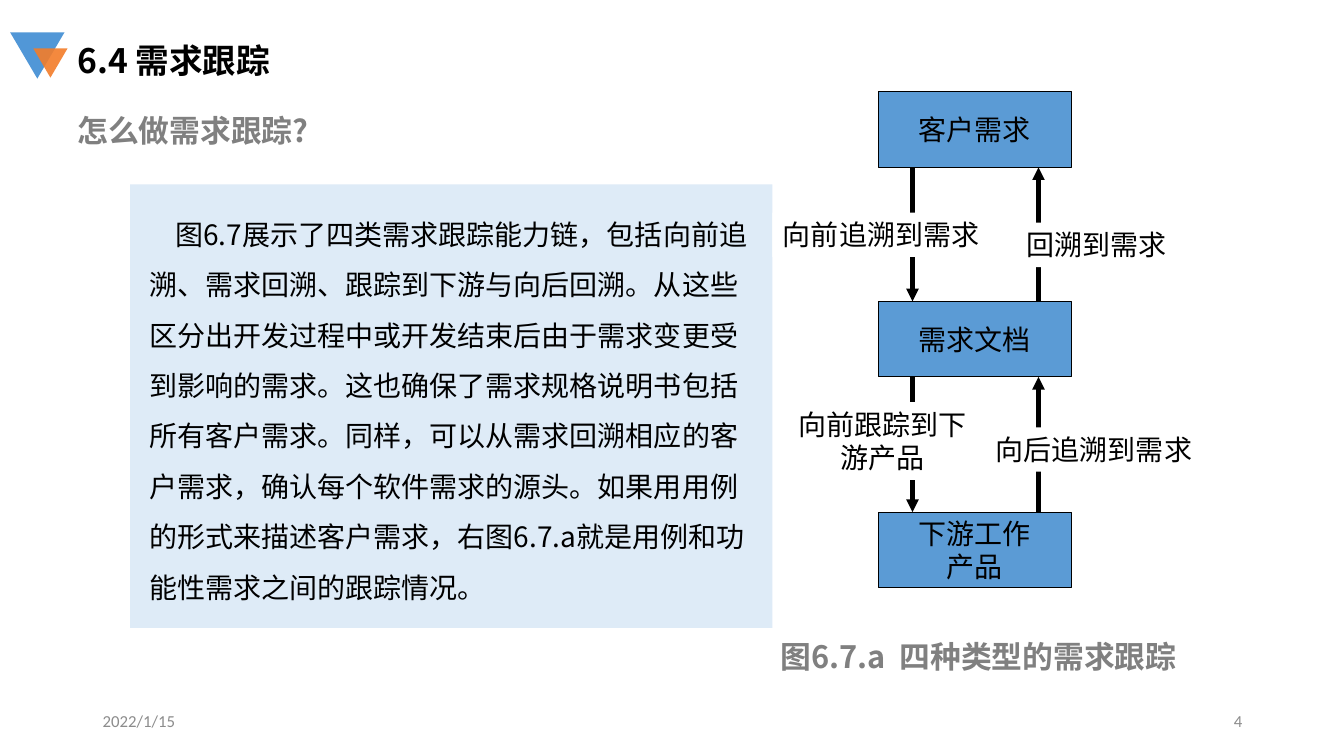
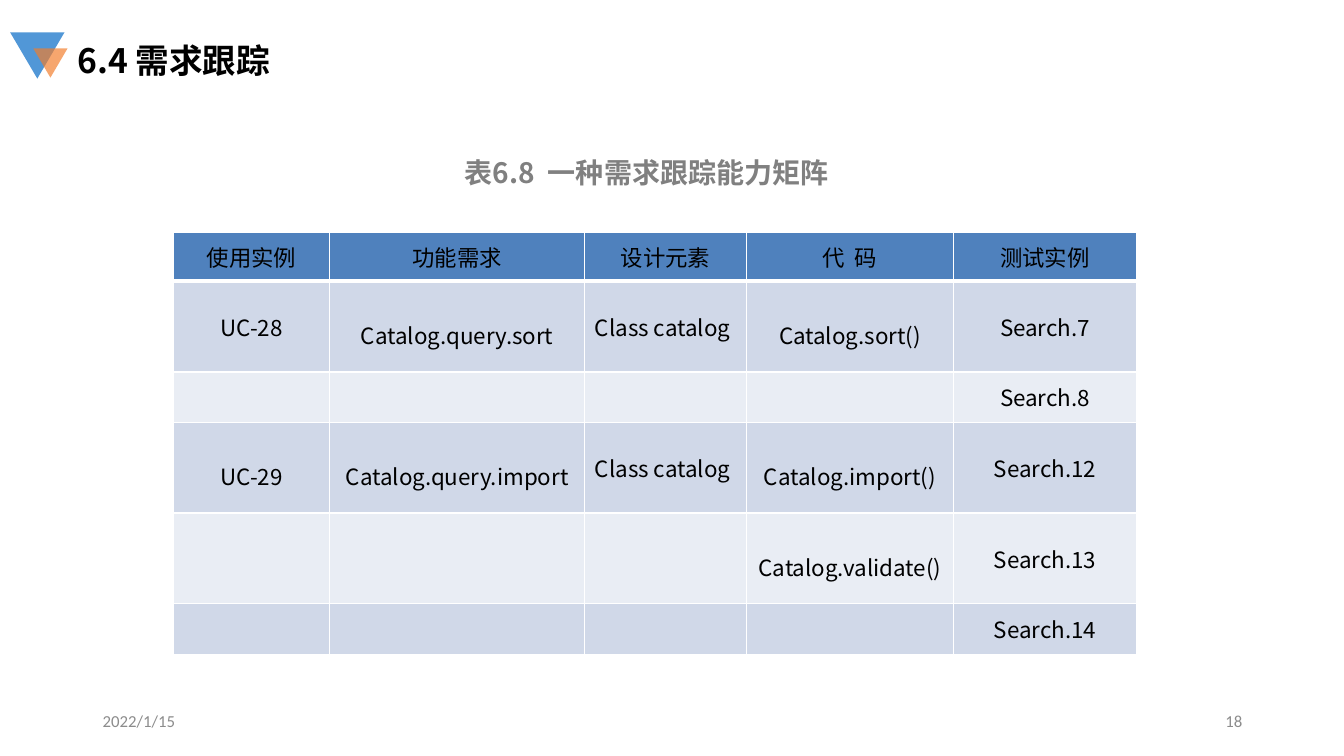
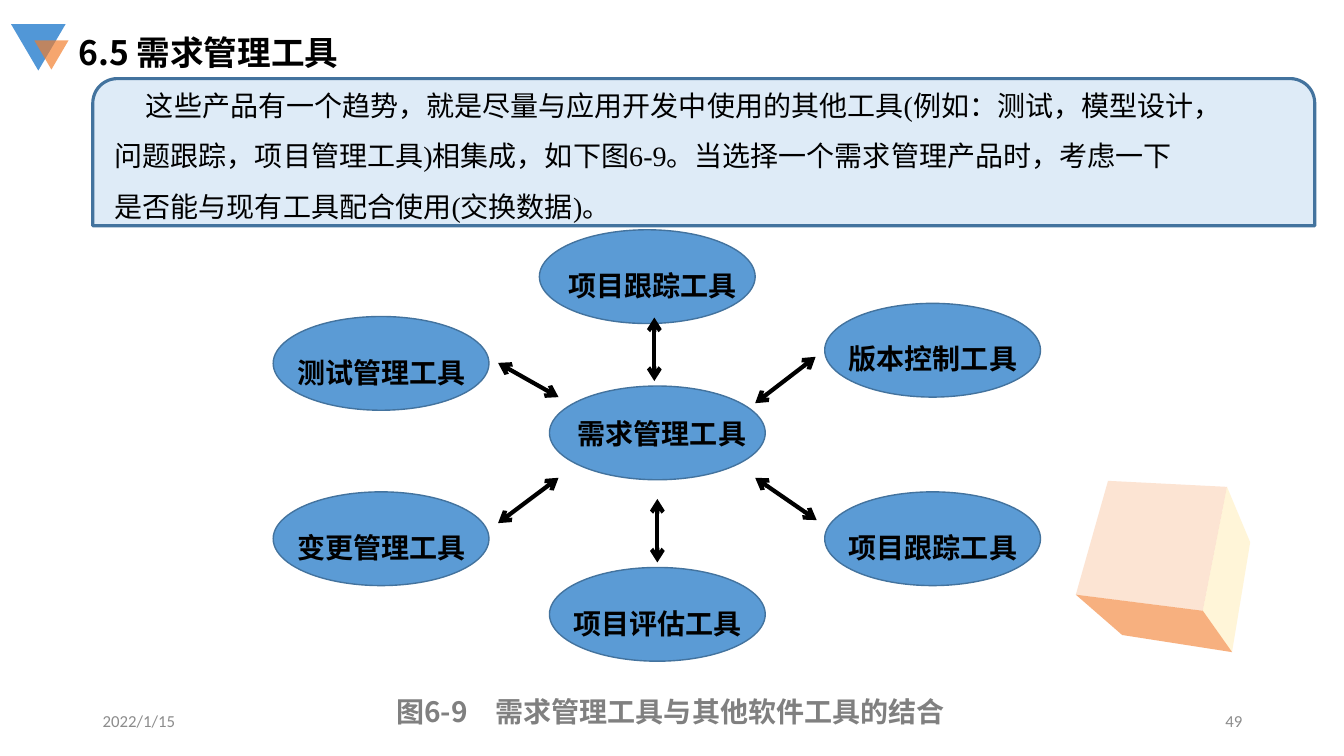
from pptx import Presentation
from pptx.dml.color import RGBColor
from pptx.enum.shapes import MSO_CONNECTOR, MSO_SHAPE
from pptx.enum.text import MSO_ANCHOR, PP_ALIGN
from pptx.oxml.ns import qn
from pptx.oxml.xmlchemy import OxmlElement
from pptx.util import Pt

PX = 9144  # 100 px to the inch
RECT, OVAL = MSO_SHAPE.RECTANGLE, MSO_SHAPE.OVAL
WEDGE, PANEL = MSO_SHAPE.ISOSCELES_TRIANGLE, MSO_SHAPE.ROUND_2_SAME_RECTANGLE
LINE = MSO_CONNECTOR.STRAIGHT
TOP, MID = MSO_ANCHOR.TOP, MSO_ANCHOR.MIDDLE
LEFT, MIDST, RIGHT = PP_ALIGN.LEFT, PP_ALIGN.CENTER, PP_ALIGN.RIGHT
SANS, SERIF, PLAIN = "Noto Sans CJK SC", "Times New Roman", "Calibri"
INK = {
    "black": "000000", "white": "FFFFFF", "grey": "808080", "foot": "8C8C8C",
    "blue": "5B9BD5", "edge": "43739E", "pale": "DEEBF7",
    "mark": "5197D7", "spark": "F37D2A",
    "front": "F7A76E", "side": "FFECB3", "base": "F58F49",
    "head": "4F81BD", "odd": "D0D8E8", "even": "E9EDF4",
}


# Shared helpers
def rgb(name):
    return RGBColor.from_string(INK[name])


def add(parent, tag, **attrs):
    node = OxmlElement(tag)
    for key, val in attrs.items():
        node.set(key, str(val))
    parent.append(node)
    return node


def style(frame, size, color="black", bold=False, font=SANS, align=LEFT,
          gap=None, indent=0):
    for para in frame.paragraphs:
        para.alignment = align
        if gap:
            para.line_spacing = gap
        if indent:
            para._p.get_or_add_pPr().set("indent", str(indent * PX))
        for run in para.runs:
            run.font.size = Pt(size)
            run.font.bold = bold
            run.font.name = font
            run.font.color.rgb = rgb(color)
            add(run._r.get_or_add_rPr(), "a:ea", typeface=SANS)


def write(frame, text, anchor=TOP, wrap=True, **look):
    frame.text = text
    frame.word_wrap = wrap
    frame.vertical_anchor = anchor
    style(frame, **look)


def label(slide, box, text, **look):
    area = slide.shapes.add_textbox(*(v * PX for v in box))
    write(area.text_frame, text, **look)


def paint(shape, fill, alpha=100, edge=None, width=1):
    shape.shadow.inherit = False
    shape.fill.solid()
    shape.fill.fore_color.rgb = rgb(fill)
    if alpha < 100:
        tint = shape._element.spPr.find(qn("a:solidFill"))[0]
        add(tint, "a:alpha", val=alpha * 1000)
    if edge:
        shape.line.color.rgb = rgb(edge)
        shape.line.width = Pt(width)
    else:
        shape.line.fill.background()


def block(slide, kind, box, fill, **look):
    shape = slide.shapes.add_shape(kind, *(v * PX for v in box))
    paint(shape, fill, **look)
    return shape


def arrow(slide, x1, y1, x2, y2, tip, both=False):
    line = slide.shapes.add_connector(LINE, *(v * PX for v in (x1, y1, x2, y2)))
    line.line.color.rgb = rgb("black")
    line.line.width = Pt(3)
    props = line._element.spPr
    stroke = props.find(qn("a:ln"))
    if both:
        add(stroke, "a:headEnd", type=tip)
    add(stroke, "a:tailEnd", type=tip)
    add(props, "a:effectLst")


# Title mark and footer, on every slide
def header(slide, x, y, title, alpha=68):
    for box, fill, clear in (((x, y, 54, 46), "mark", 100),
                             ((x + 23, y + 16, 34, 29), "spark", alpha)):
        block(slide, WEDGE, box, fill, alpha=clear).rotation = 180
    label(slide, (x + 57, y + 3, 335, 50), title, size=24, bold=True)


def footer(slide, number):
    for x, text, align in ((92, "2022/1/15", LEFT), (942, number, RIGHT)):
        label(slide, (x, 695, 300, 40), text, anchor=MID, size=12,
              color="foot", font=PLAIN, align=align)


# Three stacked boxes with arrows down and up
def flow(slide, x, y):
    wide, high = 192, 75
    tops = [y + i * 417 // 2 for i in range(3)]
    for top, text in zip(tops, ("客户需求", "需求文档", "下游工作\n产品")):
        step = block(slide, RECT, (x, top, wide, high), "blue",
                     edge="black", width=0.75)
        write(step.text_frame, text, anchor=MID, wrap=False, size=20,
              align=MIDST)
    for top, low in zip(tops, tops[1:]):
        arrow(slide, x + 34, top + high, x + 34, low, "triangle")
        arrow(slide, x + 159, low, x + 159, top + high, "triangle")
    for dx, dy, w, h, text in ((-105, 120, 216, 44, "向前追溯到需求"),
                               (111, 130, 211, 44, "回溯到需求"),
                               (99, 333, 230, 44, "向后追溯到需求"),
                               (-91, 308, 191, 77, "向前跟踪到下游产品")):
        tag = block(slide, RECT, (x + dx, y + dy, w, h), "white")
        write(tag.text_frame, text, size=20, align=MIDST)


# Trace matrix
HEADS = ("使用实例", "功能需求", "设计元素", "代  码", "测试实例")
ROWS = (
    HEADS,
    ("UC-28", "Catalog.query.sort", "Class catalog", "Catalog.sort()", "Search.7"),
    ("", "", "", "", "Search.8"),
    ("UC-29", "Catalog.query.import", "Class catalog", "Catalog.import()", "Search.12"),
    ("", "", "", "Catalog.validate()", "Search.13"),
    ("", "", "", "", "Search.14"),
)


def frame(cell, row):
    props = cell._tc.get_or_add_tcPr()
    for side in "LRTB":
        thick = (side, row) in (("B", 0), ("T", 1))
        line = add(props, "a:ln" + side, w=Pt(3 if thick else 1))
        add(add(line, "a:solidFill"), "a:srgbClr", val=INK["white"])


def matrix(slide, x, y):
    cols, highs = (155, 253, 160, 206, 181), (48, 90, 50, 90, 90, 50)
    grid = slide.shapes.add_table(
        len(highs), len(cols), x * PX, y * PX, sum(cols) * PX, sum(highs) * PX).table
    for col, wide in zip(grid.columns, cols):
        col.width = wide * PX
    for r, (texts, high) in enumerate(zip(ROWS, highs)):
        grid.rows[r].height = high * PX
        for c, text in enumerate(texts):
            cell = grid.cell(r, c)
            frame(cell, r)
            cell.fill.solid()
            cell.fill.fore_color.rgb = rgb(("odd" if r % 2 else "even") if r else "head")
            cell.vertical_anchor = MID
            loose = text.startswith("Catalog") or text == "UC-29"
            cell.text_frame.text = text
            style(cell.text_frame, 16, gap=1.5 if loose else None,
                  align=LEFT if text.startswith("Class") else MIDST)


# Hub of tools with double arrows
NODES = (
    (264, 0, 19, "项目跟踪工具"), (274, 335, 14, "项目评估工具"),
    (547, 73, 14, "版本控制工具"), (547, 260, 14, "项目跟踪工具"),
    (0, 86, 14, "测试管理工具"), (0, 260, 14, "变更管理工具"),
)
SPOKES = (
    (223, 132, 283, 166), (223, 291, 283, 246), (478, 172, 538, 126),
    (478, 246, 539, 288), (378, 87, 378, 150), (381, 267, 381, 330),
)


def node(slide, x, y, box, text, **look):
    dx, dy, high = box
    block(slide, OVAL, (x, y, 214, 93), "blue", edge="edge")
    label(slide, (x + dx, y + dy, 195, high), text, size=20, bold=True,
          font=SERIF, **look)


def hub(slide, x, y):
    node(slide, x + 274, y + 155, (14, 25, 44), "需求管理工具", align=MIDST)
    for dx, dy, inset, text in NODES:
        node(slide, x + dx, y + dy, (inset, 0, 77), text, gap=2.0)
    for x1, y1, x2, y2 in SPOKES:
        arrow(slide, x + x1, y + y1, x + x2, y + y2, "arrow", both=True)


# Tilted cube
def cube(slide, x, y):
    near, left, back, top = (126, 129), (0, 113), (32, 0), (150, 6)
    low, far, foot = (155, 170), (173, 61), (46, 153)
    for fill, alpha, face in (("front", 30, (near, left, back, top)),
                              ("side", 50, (low, near, top, far)),
                              ("base", 70, (low, foot, left, near))):
        pts = [((x + dx) * PX, (y + dy) * PX) for dx, dy in face]
        pen = slide.shapes.build_freeform(*pts[0])
        pen.add_line_segments(pts[1:], close=True)
        paint(pen.convert_to_shape(), fill, alpha)


# Slides
def links(slide):
    block(slide, RECT, (129, 183, 637, 440), "pale")
    label(slide, (138, 194, 629, 414),
          "图6.7展示了四类需求跟踪能力链，包括向前追溯、需求回溯、跟踪到下游与向后回溯。"
          "从这些区分出开发过程中或开发结束后由于需求变更受到影响的需求。"
          "这也确保了需求规格说明书包括所有客户需求。"
          "同样，可以从需求回溯相应的客户需求，确认每个软件需求的源头。"
          "如果用用例的形式来描述客户需求，右图6.7.a就是用例和功能性需求之间的跟踪情况。",
          size=20, gap=1.5, indent=26)
    flow(slide, 871, 91)
    label(slide, (762, 628, 417, 47), "图6.7.a  四种类型的需求跟踪",
          size=22, color="grey", bold=True, align=MIDST)
    label(slide, (67, 106, 489, 47), "怎么做需求跟踪?",
          size=22, color="grey", bold=True)
    header(slide, 10, 32, "6.4 需求跟踪", alpha=90)
    footer(slide, "4")


def trace(slide):
    label(slide, (238, 116, 807, 77), "表6.8  一种需求跟踪能力矩阵",
          size=20, color="grey", bold=True, align=MIDST, gap=2.0)
    matrix(slide, 172, 231)
    header(slide, 10, 32, "6.4 需求跟踪")
    footer(slide, "18")


def tools(slide):
    block(slide, PANEL, (92, 78, 1212, 146), "pale", edge="edge", width=2.25)
    cube(slide, 1067, 477)
    label(slide, (383, 651, 586, 77), "图6-9　需求管理工具与其他软件工具的结合",
          size=20, color="grey", bold=True, gap=2.0)
    hub(slide, 271, 228)
    label(slide, (104, 66, 1093, 161),
          "这些产品有一个趋势，就是尽量与应用开发中使用的其他工具"
          "(例如：测试，模型设计，问题跟踪，项目管理工具)相集成，如下图6-9。"
          "当选择一个需求管理产品时，考虑一下是否能与现有工具配合使用(交换数据)。",
          size=20, font=SERIF, gap=1.5, indent=31)
    header(slide, 11, 24, "6.5 需求管理工具")
    footer(slide, "49")


def main():
    deck = Presentation()
    deck.slide_width, deck.slide_height = 1333 * PX, 750 * PX
    for build in (links, trace, tools):
        build(deck.slides.add_slide(deck.slide_layouts[6]))
    deck.save("out.pptx")


if __name__ == "__main__":
    main()
